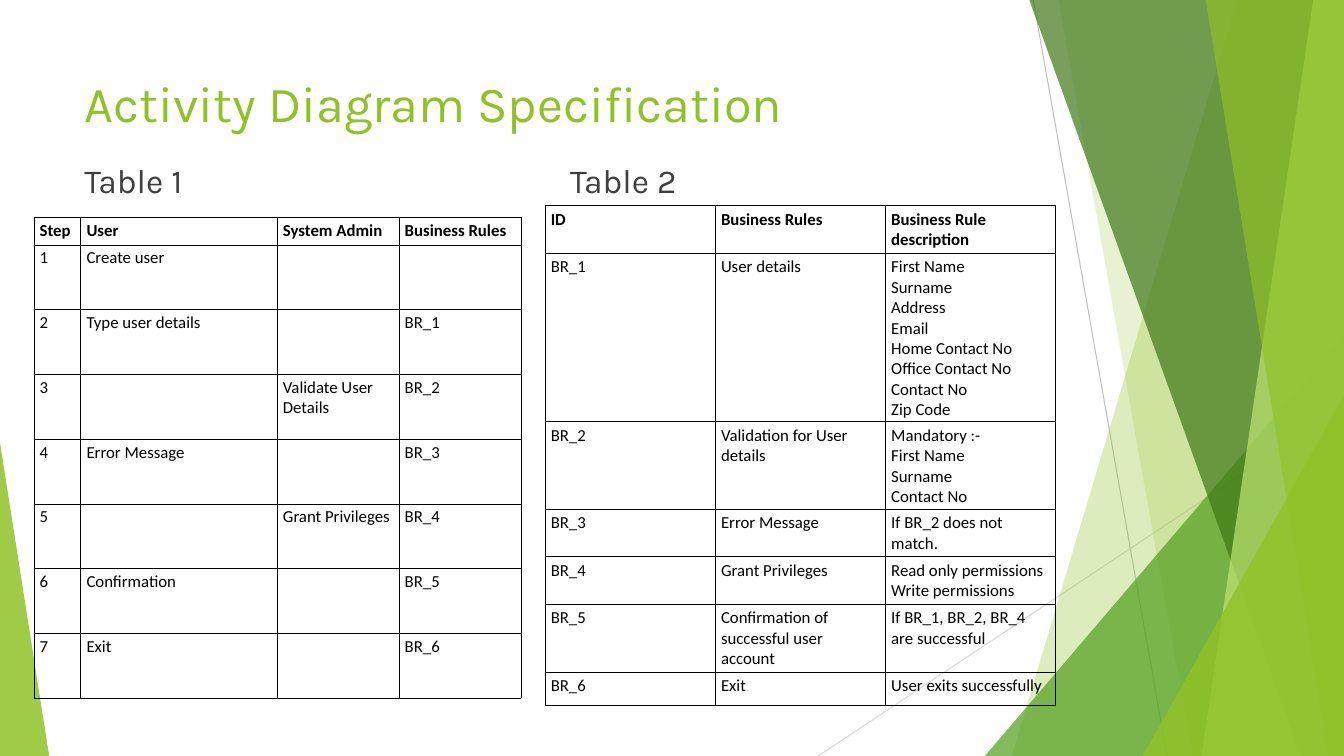
from pptx import Presentation
from pptx.dml.color import RGBColor as Rgb
from pptx.enum.shapes import MSO_CONNECTOR as Link, MSO_SHAPE as Form
from pptx.enum.text import MSO_ANCHOR as Anchor
from pptx.oxml import parse_xml
from pptx.oxml.ns import nsdecls
from pptx.util import Cm, Pt

WIDE, HIGH = 33.87, 19.05
LIME, LEAF, DARK, PALE = "90C226", "54A021", "3F7818", "BFE471"

STEPS = [
    ["Step", "User", "System Admin", "Business Rules"],
    ["1", "Create user", "", ""],
    ["2", "Type user details", "", "BR_1"],
    ["3", "", "Validate User Details", "BR_2"],
    ["4", "Error Message", "", "BR_3"],
    ["5", "", "Grant Privileges", "BR_4"],
    ["6", "Confirmation", "", "BR_5"],
    ["7", "Exit", "", "BR_6"],
]
RULES = [
    ["ID", "Business Rules", "Business Rule description"],
    ["BR_1", "User details",
     "First Name\nSurname\nAddress\nEmail\nHome Contact No\n"
     "Office Contact No\nContact No\nZip Code"],
    ["BR_2", "Validation for User details",
     "Mandatory :-\nFirst Name\nSurname\nContact No"],
    ["BR_3", "Error Message", "If BR_2 does not match."],
    ["BR_4", "Grant Privileges", "Read only permissions\nWrite permissions"],
    ["BR_5", "Confirmation of successful user account",
     "If BR_1, BR_2, BR_4 are successful"],
    ["BR_6", "Exit", "User exits successfully"],
]


def paint(target, color):
    """Apply a hex colour to a fill or a line's fill."""
    target.solid()
    target.fore_color.rgb = Rgb.from_string(color)


def tint(shape, color, solid):
    """Fill a borderless shape; solid is its opacity in percent."""
    shape.shadow.inherit = False
    shape.line.fill.background()
    paint(shape.fill, color)
    tone = shape.fill._xPr.find(".//{*}srgbClr")
    tone.append(parse_xml(f'<a:alpha {nsdecls("a")} val="{solid * 1000}"/>'))


def rule(slide, x1, y1, x2, y2, color):
    line = slide.shapes.add_connector(
        Link.STRAIGHT, Cm(x1), Cm(y1), Cm(x2), Cm(y2))
    line.line.width = Pt(0.75)
    paint(line.line.fill, color)
    line._element.spPr.append(parse_xml(f'<a:effectLst {nsdecls("a")}/>'))


def band(slide, top, base, color, solid):
    """A strip from a slanted left side to the slide's right edge."""
    rise = Cm(-0.03)
    form = slide.shapes.build_freeform(Cm(top), rise)
    form.add_line_segments([(Cm(WIDE), rise), (Cm(WIDE), Cm(HIGH)),
                            (Cm(base), Cm(HIGH))])
    tint(form.convert_to_shape(), color, solid)


def wedge(slide, left, right, top, peak, color, solid):
    """A triangle standing on the slide's bottom edge."""
    shape = slide.shapes.add_shape(Form.ISOSCELES_TRIANGLE, Cm(left), Cm(top),
                                   Cm(right - left), Cm(HIGH - top))
    shape.adjustments[0] = peak
    tint(shape, color, solid)


def style(para, name, size, color, bold=False):
    font = para.font
    font.name, font.size, font.bold = name, Pt(size), bold
    font.color.rgb = Rgb.from_string(color)


def label(slide, text, box, size, color, anchor):
    frame = slide.shapes.add_textbox(*map(Cm, box)).text_frame
    frame.word_wrap = True
    frame.vertical_anchor = anchor
    frame.text = text
    style(frame.paragraphs[0], "Karla", size, color)


def edge(cell):
    """Thin black border on all four sides."""
    props = cell._tc.get_or_add_tcPr()
    for side in "LRTB":
        props.append(parse_xml(
            f'<a:ln{side} {nsdecls("a")} w="9525"><a:solidFill>'
            f'<a:srgbClr val="000000"/></a:solidFill></a:ln{side}>'))


def grid(slide, left, top, cols, rows, data, pad):
    table = slide.shapes.add_table(
        len(rows), len(cols), Cm(left), Cm(top),
        Cm(sum(cols)), Cm(sum(rows))).table
    table.first_row = table.horz_banding = False
    for col, width in zip(table.columns, cols):
        col.width = Cm(width)
    for r, (row, height) in enumerate(zip(table.rows, rows)):
        row.height = Cm(height)
        for cell, text in zip(row.cells, data[r]):
            edge(cell)
            cell.fill.background()
            cell.margin_left = cell.margin_right = Cm(0.14)
            cell.margin_top = cell.margin_bottom = Cm(pad)
            cell.text = text
            for para in cell.text_frame.paragraphs:
                style(para, "Calibri", 12, "000000", r == 0)


def main():
    deck = Presentation()
    deck.slide_width, deck.slide_height = Cm(WIDE), Cm(HIGH)
    slide = deck.slides.add_slide(deck.slide_layouts[6])

    # Green facets
    rule(slide, 26.04, 0, 29.41, HIGH, "BFBFBF")
    rule(slide, WIDE, 10.24, 20.62, HIGH, "D8D8D8")
    band(slide, 31.19, 25.5, LIME, 30)
    band(slide, 26.67, 30.05, LIME, 20)
    wedge(slide, 24.82, WIDE, 8.46, 1, LEAF, 72)
    band(slide, 25.93, 32.79, DARK, 70)
    band(slide, 33.1, 30.28, PALE, 70)
    band(slide, 30.38, 33.48, LIME, 65)
    wedge(slide, 28.8, WIDE, 9.98, 1, LIME, 80)
    wedge(slide, 0, 1.24, 11.15, 0, LIME, 85)

    # Headings
    label(slide, "Activity Diagram Specification", (1.88, 1.7, 23.88, 1.8),
          36, LIME, Anchor.TOP)
    for text, left in (("Table 1", 1.88), ("Table 2", 14.12)):
        label(slide, text, (left, 3.91, 11.63, 1.27), 24, "3F3F3F",
              Anchor.BOTTOM)

    # Tables
    grid(slide, 0.86, 5.49, [1.18, 4.95, 3.07, 3.07],
         [0.69] + [1.63] * 7, STEPS, 0.07)
    grid(slide, 13.74, 5.18, [4.29] * 3,
         [0.84, 2.82, 1.5, 0.84, 1.17, 1.17, 0.84], RULES, 0.09)

    deck.save("out.pptx")


if __name__ == "__main__":
    main()
